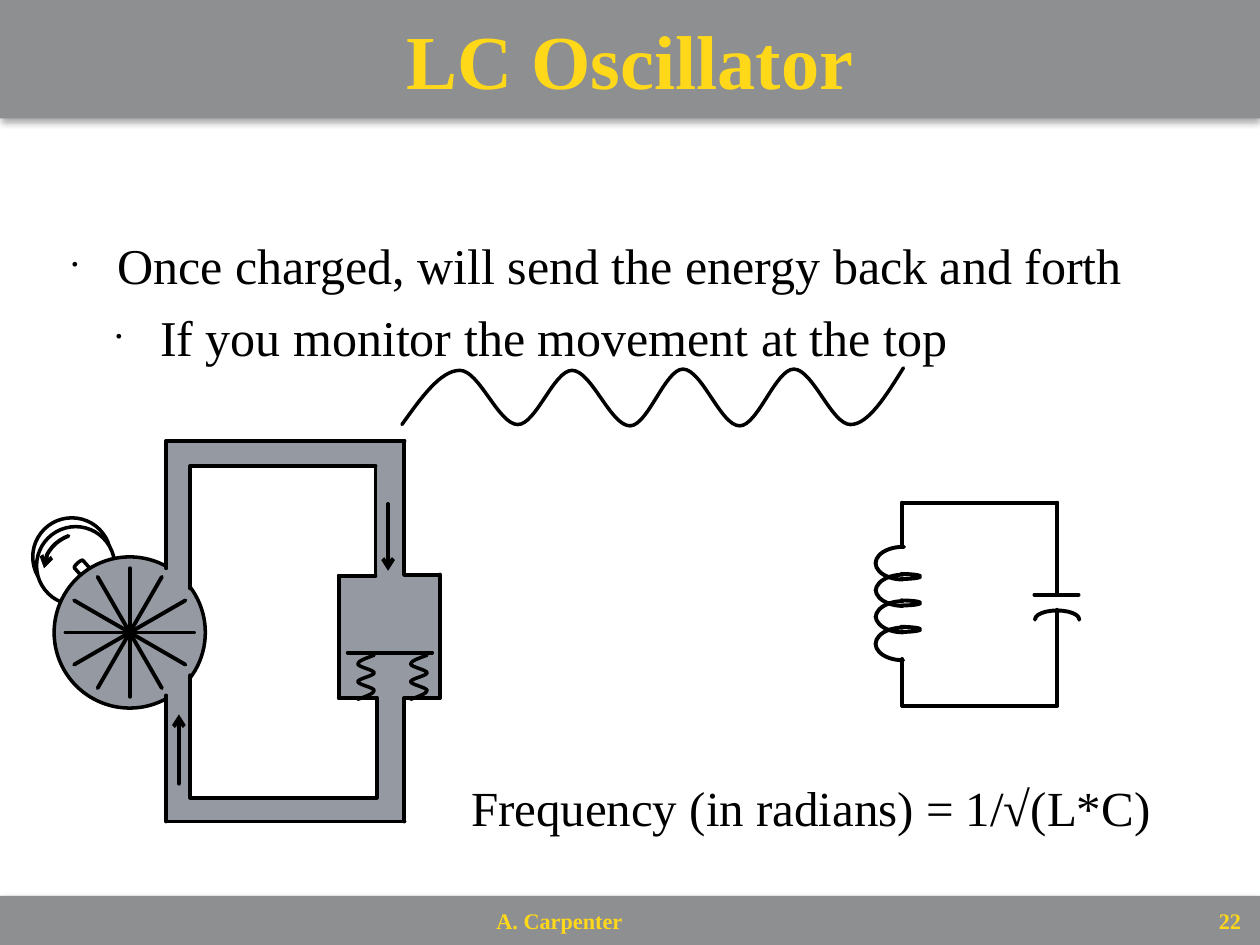
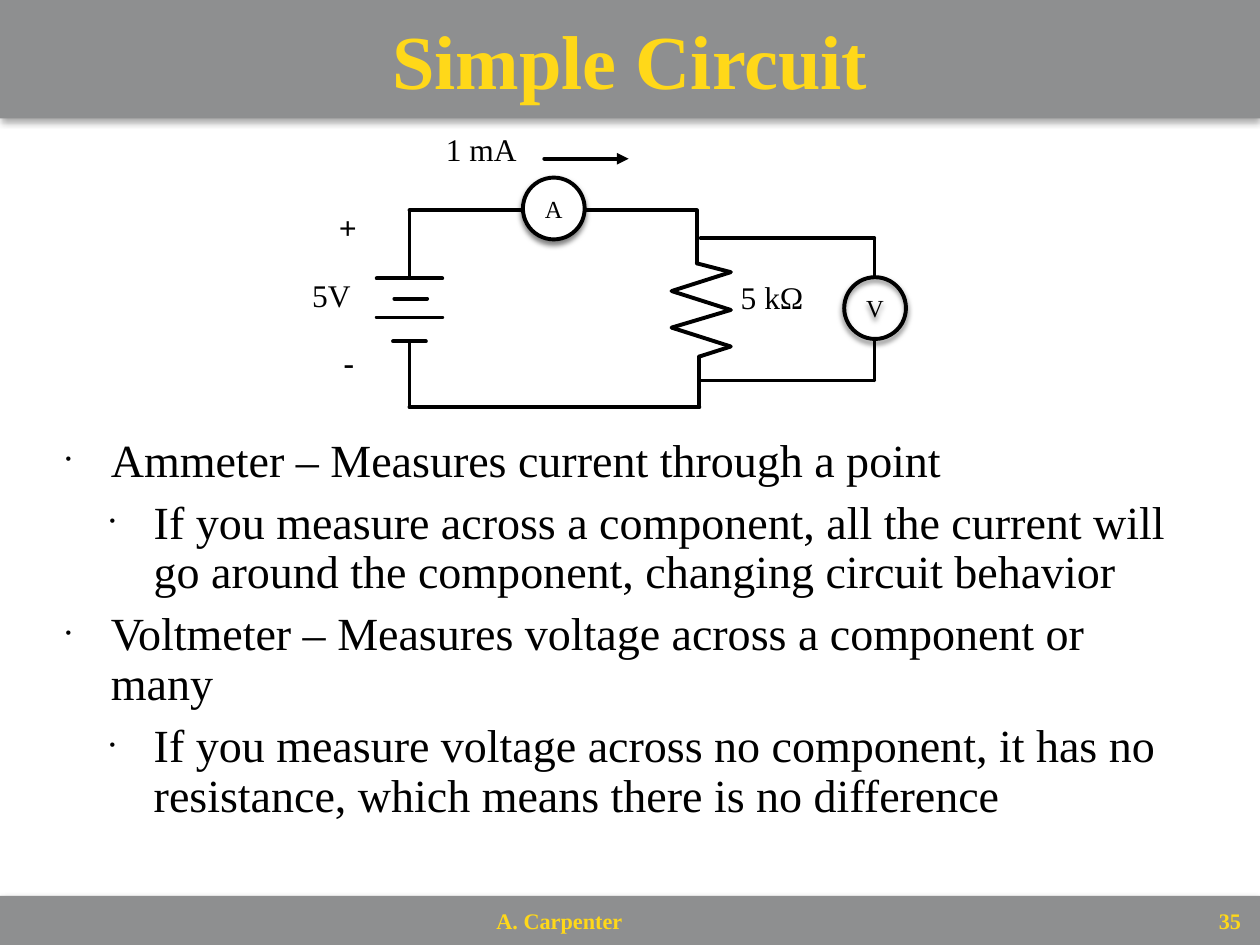
from itertools import pairwise
from math import cos, radians, sin

from lxml import etree
from pptx import Presentation
from pptx.dml.color import RGBColor
from pptx.enum import shapes, text
from pptx.oxml.ns import qn
from pptx.util import Inches, Pt

FONT = "Times New Roman"
BLACK, WHITE, YELLOW = "000000", "FFFFFF", "FFD819"
BAND, WATER = "8E8F90", "959AA2"
BAND_SHADOW = {"opacity": 35, "blur": 4, "distance": 2}
METER_SHADOW = {"opacity": 50, "blur": 3, "distance": 2}
KIND = shapes.MSO_SHAPE
QUARTER = 162
ARC_END = 215.35


def colour(code):
    """Turn a hex string into a colour."""
    return RGBColor.from_string(code)


def add_element(parent, tag, **values):
    """Append a drawing element with the given attributes."""
    element = etree.SubElement(parent, qn(tag))
    for name, value in values.items():
        element.set(name, str(value))
    return element


def set_shadow(shape, shadow=None):
    """Replace the theme shadow with the given one, or with none."""
    effects = add_element(shape.element.spPr, "a:effectLst")
    if shadow:
        outer = add_element(effects, "a:outerShdw", blurRad=Pt(shadow["blur"]),
                            dist=Pt(shadow["distance"]), dir=90 * 60000,
                            algn="t", rotWithShape=0)
        tint = add_element(outer, "a:srgbClr", val=BLACK)
        add_element(tint, "a:alpha", val=shadow["opacity"] * 1000)


def set_fill(shape, fill):
    """Fill a shape with a colour, or leave it empty."""
    if fill:
        shape.fill.solid()
        shape.fill.fore_color.rgb = colour(fill)
    else:
        shape.fill.background()


def set_line(shape, width, head=None, tail=None):
    """Give a shape a black round-capped line with optional arrowheads."""
    if not width:
        shape.line.fill.background()
        return
    shape.line.color.rgb = colour(BLACK)
    shape.line.width = Pt(width)
    stroke = shape.element.spPr.find(qn("a:ln"))
    stroke.set("cap", "rnd")
    for tag, kind in (("a:headEnd", head), ("a:tailEnd", tail)):
        if kind:
            add_element(stroke, tag, type=kind)


def set_frame(shape, inset, anchor=text.MSO_ANCHOR.TOP):
    """Set the insets, anchor and wrapping of a text frame."""
    frame = shape.text_frame
    values = {"word_wrap": True, "auto_size": text.MSO_AUTO_SIZE.NONE,
              "vertical_anchor": anchor}
    if inset is not None:
        values |= {f"margin_{side}": Inches(inset)
                   for side in ("left", "top", "right", "bottom")}
    for name, value in values.items():
        setattr(frame, name, value)
    return frame


def write(para, words, size, ink=BLACK, bold=False, align=None):
    """Write one formatted run into a paragraph."""
    span = para.add_run()
    span.text = words
    for name, value in {"name": FONT, "size": Pt(size), "bold": bold}.items():
        setattr(span.font, name, value)
    span.font.color.rgb = colour(ink)
    para.alignment = align


def place(shape, left, top, width, height):
    """Move a shape to a box in inches."""
    for name, value in zip(("left", "top", "width", "height"),
                           (left, top, width, height)):
        setattr(shape, name, Inches(value))


class Region:
    """A part of a page that draws relative to its top left corner."""

    def __init__(self, page, left, top):
        """Remember the page and the corner."""
        self.shapes, self.left, self.top = page.shapes, left, top

    def at(self, x, y):
        """Convert a relative point to page lengths."""
        return Inches(self.left + x), Inches(self.top + y)

    def shape(self, kind, x, y, width, height, fill=None, line=None, turn=0,
              shadow=None, adjust=(), flip=False, head=None):
        """Draw a preset shape."""
        shape = self.shapes.add_shape(kind, *self.at(x, y),
                                      Inches(width), Inches(height))
        shape.rotation = turn
        for index, value in enumerate(adjust):
            shape.adjustments[index] = value
        if flip:
            shape.element.spPr.find(qn("a:xfrm")).set("flipH", "1")
        set_fill(shape, fill)
        set_line(shape, line, head)
        set_shadow(shape, shadow)
        return shape

    def arc(self, x, y, width, height, start, end, **options):
        """Draw an arc turned to open upwards."""
        self.shape(KIND.ARC, x, y, width, height, line=2.25, turn=270,
                   adjust=(start, end), **options)

    def wire(self, *points, width=2.25, tail=None):
        """Join successive points with straight lines."""
        for start, end in pairwise(points):
            line = self.shapes.add_connector(
                shapes.MSO_CONNECTOR.STRAIGHT, *self.at(*start), *self.at(*end))
            set_line(line, width, tail=tail)
            set_shadow(line)

    def wave(self, anchors, axis):
        """Draw a smooth curve that swings between anchors along an axis."""
        controls = []
        last = len(anchors) - 2
        for index, (start, end) in enumerate(pairwise(anchors)):
            for share, near, is_free in ((1 / 3, start, index == 0),
                                         (2 / 3, end, index == last)):
                point = [(a + b) / 2 if is_free else c
                         for a, b, c in zip(start, end, near)]
                point[axis] = start[axis] + share * (end[axis] - start[axis])
                controls.append(self.at(*point))
            controls.append(self.at(*end))
        builder = self.shapes.build_freeform(*self.at(*anchors[0]))
        builder.add_line_segments(controls, close=False)
        curve = builder.convert_to_shape()
        outline = curve.element.spPr.find(".//" + qn("a:path"))
        steps = outline.findall(qn("a:lnTo"))
        for first in range(0, len(steps), 3):
            bend = add_element(outline, "a:cubicBezTo")
            for step in steps[first:first + 3]:
                bend.append(step[0])
                outline.remove(step)
        set_fill(curve, None)
        set_line(curve, 2)
        set_shadow(curve)

    def label(self, words, x, y, width, height=0.56, size=18, inset=None,
              anchor=text.MSO_ANCHOR.TOP, **style):
        """Place a line of text."""
        box = self.shapes.add_textbox(*self.at(x, y), Inches(width), Inches(height))
        frame = set_frame(box, inset, anchor)
        write(frame.paragraphs[0], words, size, **style)


def add_footer(page, number):
    """Draw the bottom band with the author and page number."""
    footer = Region(page, 0, 7.11)
    footer.shape(KIND.RECTANGLE, 0, 0, 10, 0.39, BAND, shadow=BAND_SHADOW)
    style = {"size": 12.7, "ink": YELLOW, "bold": True,
             "anchor": text.MSO_ANCHOR.MIDDLE}
    footer.label("A. Carpenter", 3.89, 0.04, 2.23, 0.31, inset=0.05, **style)
    footer.label(str(number), 9.57, 0.02, 0.35, 0.36, inset=0.07,
                 align=text.PP_ALIGN.RIGHT, **style)


def add_title(page, words):
    """Turn the title placeholder into the top band."""
    title = page.shapes.title
    place(title, 0, 0, 10, 0.94)
    set_fill(title, BAND)
    set_shadow(title, BAND_SHADOW)
    frame = set_frame(title, 0.07, text.MSO_ANCHOR.MIDDLE)
    write(frame.paragraphs[0], words, 43.6, YELLOW, True, text.PP_ALIGN.CENTER)


def add_bullets(page, box, items, size, spacing):
    """Fill the body placeholder with a two-level list."""
    body = page.placeholders[1]
    place(body, *box)
    frame = set_frame(body, 0.07)
    for index, (level, words) in enumerate(items):
        para = frame.add_paragraph() if index else frame.paragraphs[0]
        margin, hang = ((0.36, 0.36), (0.7, 0.35))[level]
        for name, value in {"level": level, "line_spacing": spacing,
                            "space_before": Pt(7 if index else 0)}.items():
            setattr(para, name, value)
        layout = para._p.get_or_add_pPr()
        layout.set("marL", str(Inches(margin)))
        layout.set("indent", str(-Inches(hang)))
        add_element(layout, "a:buSzPct", val=35000)
        add_element(layout, "a:buChar", char="•")
        write(para, words, size)


def add_page(deck, title, number, box, items, size, spacing):
    """Add a page with the shared title, list and footer."""
    page = deck.slides.add_slide(deck.slide_layouts[1])
    add_footer(page, number)
    add_title(page, title)
    add_bullets(page, box, items, size, spacing)
    return page


def draw_lc_circuit(page, left, top):
    """Draw a coil and a capacitor in a loop."""
    circuit = Region(page, left, top)
    circuit.wire((0, 0.35), (0, 0), (1.23, 0), (1.23, 0.73))
    circuit.wire((0, 1.24), (0, 1.61), (1.23, 1.61), (1.23, 0.85))
    circuit.wire((1.05, 0.73), (1.4, 0.73))
    circuit.arc(1.16, 0.75, 0.14, 0.35, 161.43, 54.75)
    for turn in range(3):
        drop = 0.21 * turn
        upper = QUARTER if turn else 106.45
        lower = QUARTER if turn < 2 else 108.42
        circuit.arc(-0.12, 0.26 + drop, 0.26, 0.44, upper, ARC_END, flip=True)
        circuit.arc(-0.03, 0.43 + drop, 0.04, 0.31, 215.34, 108.66)
        circuit.arc(-0.12, 0.48 + drop, 0.26, 0.44, lower, ARC_END)


def draw_water_loop(page, left, top):
    """Draw a motor, a pump wheel and a spring piston joined by pipes."""
    loop = Region(page, left, top)
    for y in (0.01, 2.83):
        loop.shape(KIND.RECTANGLE, 1.06, y, 1.88, 0.19, WATER)
    for x, y in ((0, 0.61), (0.03, 0.68)):
        loop.shape(KIND.OVAL, x, y, 0.62, 0.62, WHITE, 2)
    loop.arc(0.13, 0.69, 0.56, 0.64, QUARTER, 200.36, head="arrow")
    loop.shape(KIND.CAN, 0.49, 0.9, 0.09, 0.54, WHITE, 2, turn=138.5)
    loop.shape(KIND.OVAL, 0.17, 0.92, 1.2, 1.2, WATER, 2)
    for angle in range(0, 180, 30):
        x, y = 0.51 * cos(radians(angle)), 0.51 * sin(radians(angle))
        loop.wire((0.77 - x, 1.52 - y), (0.77 + x, 1.52 + y))
    for x, y, width in ((1.07, 0.2, 0.19), (1.07, 1.86, 0.19), (2.43, 1.07, 0.81),
                        (2.72, 0.2, 0.23), (2.73, 1.87, 0.22)):
        loop.shape(KIND.RECTANGLE, x, y, width, 0.98, WATER)
    loop.wire((1.06, 1.01), (1.06, 0), (2.95, 0), (2.95, 1.06), (3.23, 1.06),
              (3.23, 2.04), (2.95, 2.04), (2.95, 3.02), (1.06, 3.02), (1.06, 2.02))
    loop.wire((1.25, 1.17), (1.25, 0.2), (2.72, 0.2), (2.72, 1.07), (2.43, 1.07),
              (2.43, 2.04), (2.73, 2.04), (2.73, 2.83), (1.25, 2.83), (1.25, 1.86))
    loop.wire((2.5, 1.68), (3.17, 1.68))
    loop.wire((1.16, 2.72), (1.16, 2.17), tail="arrow")
    loop.wire((2.82, 0.5), (2.82, 1.03), tail="arrow")
    for x in (2.58, 3.0):
        loop.wave([(x + 0.13 * (step % 2), 2.05 - 0.07 * step)
                   for step in range(6)], axis=1)


def draw_movement(page, left, top):
    """Draw the swinging movement and its frequency."""
    movement = Region(page, left, top)
    across = (0, 0.46, 0.92, 1.35, 1.81, 2.23, 2.68, 3.11, 3.56, 3.98)
    down = (0.45, 0.02, 0.45, 0.02, 0.46, 0.01, 0.46, 0.01, 0.45, 0)
    movement.wave(list(zip(across, down)), axis=0)
    movement.label("Frequency (in radians) = 1/√(L*C)", 0.45, 3.2, 5.8, 0.57, size=28)


def draw_simple_circuit(page, left, top):
    """Draw a battery and a resistor with an ammeter and a voltmeter."""
    circuit = Region(page, left, top)
    circuit.wire((0.87, 1.22), (0.87, 0.69), (3.15, 0.69), (3.15, 1.11),
                 (3.42, 1.18), (2.95, 1.33), (3.42, 1.48), (2.95, 1.62),
                 (3.42, 1.77), (3.17, 1.85), (3.17, 2.25), (0.87, 2.25),
                 (0.87, 1.73))
    for start, end, y in ((0.61, 1.13, 1.23), (0.75, 1.01, 1.39),
                          (0.61, 1.13, 1.54), (0.74, 1.0, 1.73)):
        circuit.wire((start, y), (end, y))
    circuit.wire((3.18, 0.91), (4.56, 0.91), (4.56, 1.22), width=2)
    circuit.wire((4.56, 1.73), (4.56, 2.04), (3.18, 2.04), width=2)
    circuit.wire((1.94, 0.28), (2.61, 0.28), tail="triangle")
    for words, x, y, width, bold in (
            ("+", 0.21, 0.62, 0.45, True), ("-", 0.25, 1.69, 0.37, True),
            ("5V", 0, 1.16, 0.66, False), ("5 kΩ", 3.4, 1.18, 0.91, False),
            ("1 mA", 1.06, 0, 1, False)):
        circuit.label(words, x, y, width, bold=bold)
    for words, x, y, fill in (("V", 4.32, 1.22, None), ("A", 1.77, 0.43, WHITE)):
        meter = circuit.shape(KIND.OVAL, x, y, 0.49, 0.49, fill, 2.25,
                              shadow=METER_SHADOW)
        frame = set_frame(meter, 0.06, text.MSO_ANCHOR.MIDDLE)
        write(frame.paragraphs[0], words, 14, align=text.PP_ALIGN.CENTER)


def main():
    """Build and save the deck."""
    deck = Presentation()
    deck.slide_width, deck.slide_height = Inches(10), Inches(7.5)
    page = add_page(deck, "LC Oscillator", 22, (0.5, 1.79, 9, 1.26), [
        (0, "Once charged, will send the energy back and forth"),
        (1, "If you monitor the movement at the top")], 28.6, 1.0)
    draw_lc_circuit(page, 7.16, 3.99)
    draw_movement(page, 3.19, 2.92)
    draw_water_loop(page, 0.26, 3.5)
    page = add_page(deck, "Simple Circuit", 35, (0.45, 3.4, 9, 3.22), [
        (0, "Ammeter – Measures current through a point"),
        (1, "If you measure across a component, all the current will go around "
            "the component, changing circuit behavior"),
        (0, "Voltmeter – Measures voltage across a component or many"),
        (1, "If you measure voltage across no component, it has no resistance, "
            "which means there is no difference")], 26.3, 0.9)
    draw_simple_circuit(page, 2.38, 0.98)
    deck.save("out.pptx")


if __name__ == "__main__":
    main()
